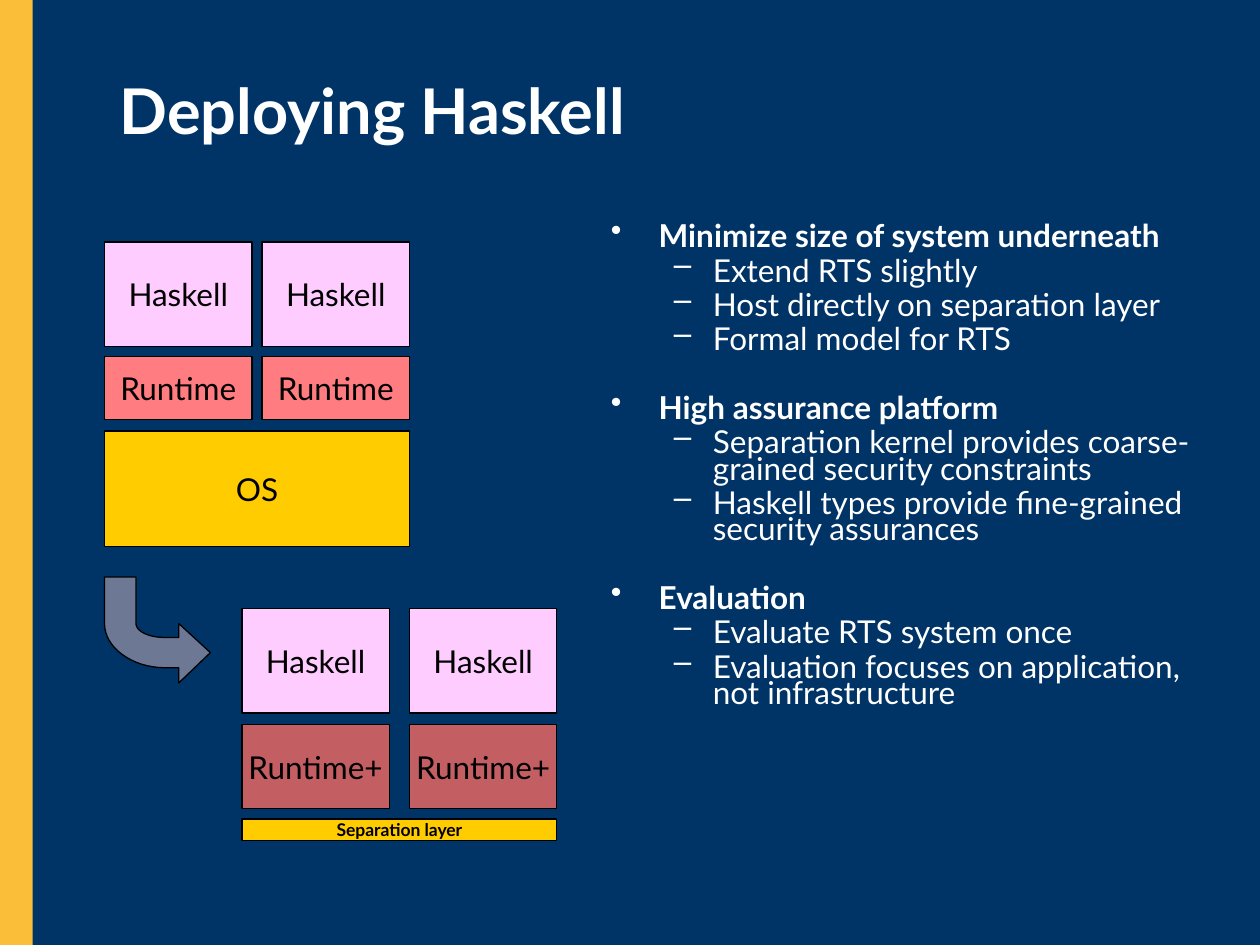
from lxml import etree
from pptx import Presentation
from pptx import util as u
from pptx.dml import color as dml
from pptx.enum import shapes, text
from pptx.oxml import ns

COLORS = {
    "navy": "003366",
    "stripe": "FABE38",
    "gold": "FFCC00",
    "pink": "FFCCFF",
    "coral": "FF7C80",
    "brick": "C35E62",
    "slate": "6D7895",
    "black": "000000",
    "white": "FFFFFF",
}
RGB = {name: dml.RGBColor.from_string(value) for name, value in COLORS.items()}
FRAME = {"word_wrap": True, "margin_left": u.Inches(0.1), "margin_right": u.Inches(0.1),
         "margin_top": u.Inches(0.05), "margin_bottom": u.Inches(0.05)}


def write(paragraph, words, color, size, bold=False):
    run = paragraph.add_run()
    run.text = words
    font = {"name": "Lato", "size": u.Pt(size), "bold": bold}
    for key, value in font.items():
        setattr(run.font, key, value)
    run.font.color.rgb = RGB[color]


def paint(shape, fill, outlined=True):
    shape.shadow.inherit = False
    shape.fill.solid()
    shape.fill.fore_color.rgb = RGB[fill]
    if outlined:
        shape.line.color.rgb = RGB["black"]
        shape.line.width = u.Pt(0.75)
    else:
        shape.line.fill.background()


presentation = Presentation()
presentation.slide_width = u.Inches(10)
presentation.slide_height = u.Inches(7.5)
slide = presentation.slides.add_slide(presentation.slide_layouts[5])
slide.background.fill.solid()
slide.background.fill.fore_color.rgb = RGB["navy"]

stripe = slide.shapes.add_shape(shapes.MSO_SHAPE.RECTANGLE, 0, 0, u.Inches(0.26), u.Inches(7.5))
paint(stripe, "stripe", outlined=False)

title = slide.shapes.title
place = {"left": 0.85, "top": 0.24, "width": 8.45, "height": 1.25}
for key, value in place.items():
    setattr(title, key, u.Inches(value))
for key, value in {**FRAME, "vertical_anchor": text.MSO_ANCHOR.MIDDLE}.items():
    setattr(title.text_frame, key, value)
title.text_frame.paragraphs[0].alignment = text.PP_ALIGN.LEFT
write(title.text_frame.paragraphs[0], "Deploying Haskell", "white", 36, True)

column_width = 1.17
stacks = [
    (0.83, 1.25, [
        ("Haskell", 1.92, 0.83, "pink", 2),
        ("Runtime", 2.83, 0.5, "coral", 2),
        ("OS", 3.42, 0.92, "gold", 1),
    ]),
    (1.92, 1.33, [
        ("Haskell", 4.83, 0.83, "pink", 2),
        ("Runtime+", 5.75, 0.67, "brick", 2),
        ("Separation layer", 6.5, 0.17, "gold", 1),
    ]),
]
for left, pitch, layers in stacks:
    for label, top, height, fill, count in layers:
        width = column_width if count == 2 else pitch + column_width
        for column in range(count):
            box = slide.shapes.add_shape(
                shapes.MSO_SHAPE.RECTANGLE, u.Inches(left + column * pitch), u.Inches(top),
                u.Inches(width), u.Inches(height))
            paint(box, fill)
            box_frame = {**FRAME, "word_wrap": False, "vertical_anchor": text.MSO_ANCHOR.MIDDLE}
            for key, value in box_frame.items():
                setattr(box.text_frame, key, value)
            paragraph = box.text_frame.paragraphs[0]
            paragraph.alignment = text.PP_ALIGN.CENTER
            thin = height < 0.3
            write(paragraph, label, "black", 10 if thin else 18, thin)

outer_bend = [(0.83, 4.95), (0.83, 5.14), (1.05, 5.3), (1.31, 5.3)]
inner_bend = [(1.31, 5.06), (1.18, 5.06), (1.08, 5.01), (1.08, 4.95)]
arrow_head = [(1.42, 5.3), (1.42, 5.42), (1.67, 5.18), (1.42, 4.95), (1.42, 5.06)]
curves = []
for bend in (outer_bend, inner_bend):
    curve = []
    for step in range(17):
        t = step / 16
        weights = [(1 - t) ** 3, 3 * t * (1 - t) ** 2, 3 * t * t * (1 - t), t ** 3]
        curve.append(tuple(sum(w * point[axis] for w, point in zip(weights, bend))
                           for axis in (0, 1)))
    curves.append(curve)
outline = curves[0] + arrow_head + curves[1] + [(1.08, 4.58)]
builder = slide.shapes.build_freeform(u.Inches(0.83), u.Inches(4.58))
builder.add_line_segments([(u.Inches(x), u.Inches(y)) for x, y in outline], close=True)
paint(builder.convert_to_shape(), "slate")

sections = [
    ("Minimize size of system underneath", [
        "Extend RTS slightly",
        "Host directly on separation layer",
        "Formal model for RTS",
    ]),
    ("High assurance platform", [
        "Separation kernel provides coarse-grained security constraints",
        "Haskell types provide fine-grained security assurances",
    ]),
    ("Evaluation", [
        "Evaluate RTS system once",
        "Evaluation focuses on application, not infrastructure",
    ]),
]
body = slide.shapes.add_textbox(u.Inches(4.75), u.Inches(1.75), u.Inches(4.83), u.Inches(4.83))
for key, value in FRAME.items():
    setattr(body.text_frame, key, value)
paragraph = body.text_frame.paragraphs[0]
for number, (heading, points) in enumerate(sections):
    for position, words in enumerate([heading, *points]):
        if number or position:
            paragraph = body.text_frame.add_paragraph()
        is_heading = position == 0
        spacing = {"level": 0 if is_heading else 1, "line_spacing": 0.7,
                   "space_before": u.Pt(24.1 if is_heading and number else 4.5)}
        for key, value in spacing.items():
            setattr(paragraph, key, value)
        bullet, margin, hanging = ("•", 0.38, 0.38) if is_heading else ("–", 0.81, 0.31)
        properties = paragraph._p.get_or_add_pPr()
        properties.set("marL", str(u.Inches(margin)))
        properties.set("indent", str(-u.Inches(hanging)))
        bullet_color = etree.SubElement(properties, ns.qn("a:buClr"))
        etree.SubElement(bullet_color, ns.qn("a:srgbClr"), val=COLORS["white"])
        etree.SubElement(properties, ns.qn("a:buChar"), char=bullet)
        write(paragraph, words, "white", 18, is_heading)

presentation.save("out.pptx")
